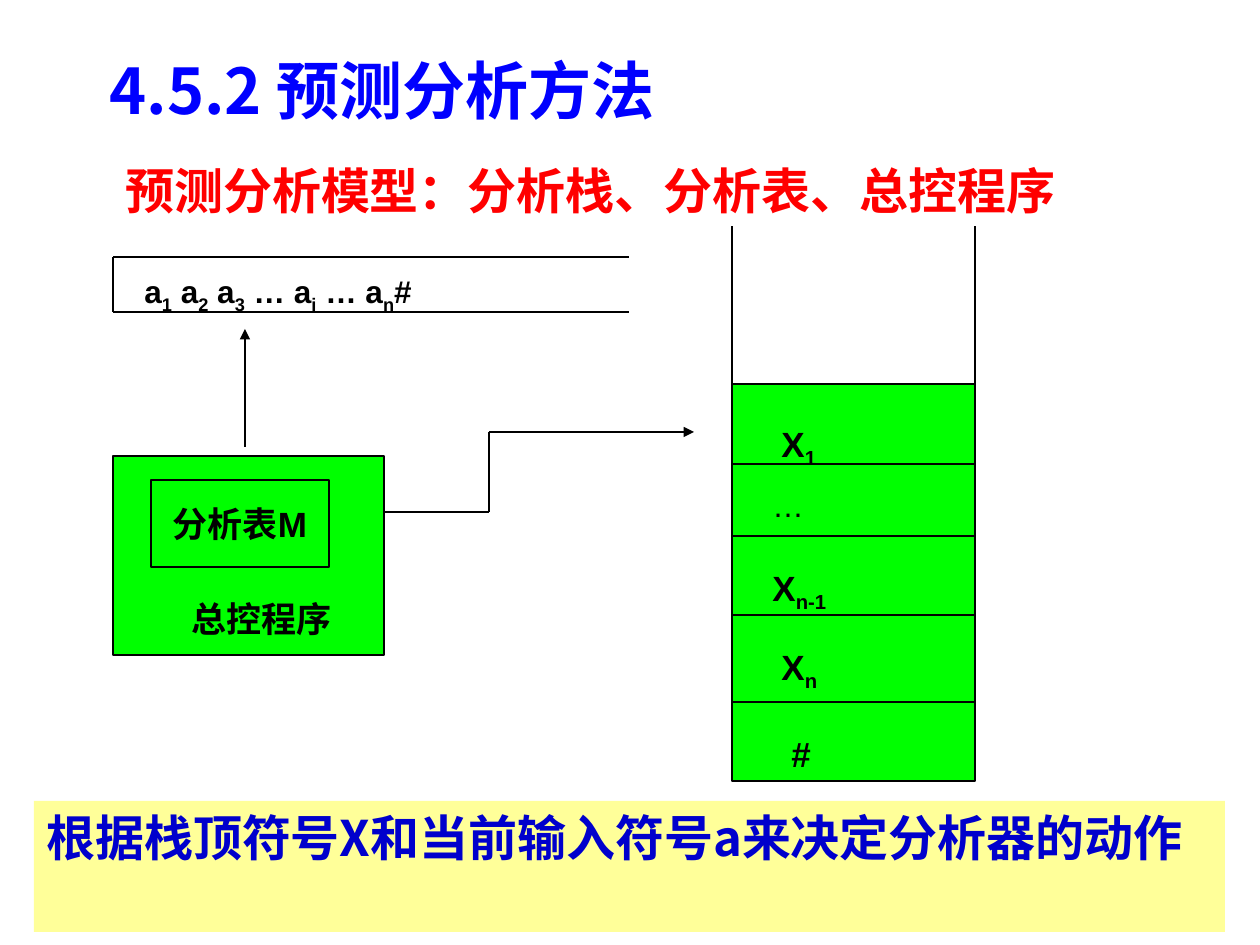
from dataclasses import dataclass
from itertools import pairwise

from lxml.etree import SubElement
from pptx import Presentation
from pptx.dml.color import RGBColor
from pptx.enum.shapes import MSO_CONNECTOR, MSO_SHAPE
from pptx.enum.text import MSO_ANCHOR, PP_ALIGN
from pptx.oxml.ns import qn
from pptx.util import Emu, Pt


@dataclass(frozen=True)
class Theme:
    title_blue: str = "0000FF"
    red: str = "FF0000"
    note_blue: str = "0000CC"
    note_fill: str = "FFFF99"
    green: str = "00FF00"
    black: str = "000000"
    cjk: str = "Noto Sans CJK SC"
    latin: str = "Arial"
    serif: str = "Times New Roman"
    title_size: int = 36
    heading_size: int = 28
    label_size: int = 20
    tape_size: int = 18
    line_width: float = 0.75
    subscript: str = "-25000"


THEME = Theme()

TITLE = ("4.5.2 预测分析方法", (25, 45, 714, 88))
HEADING = ("预测分析模型：分析栈、分析表、总控程序", (113, 154, 1121, 72))
NOTE = ("根据栈顶符号X和当前输入符号a来决定分析器的动作", (34, 801, 1191, 131))

TAPE = [("a", "1"), (" a", "2"), (" a", "3"), (" … a", "i"), (" … a", "n"), ("#", "")]
TAPE_LABEL = (132, 266, 402, 55)
TAPE_EDGES = [(629, 257), (113, 257), (113, 312), (629, 312)]

CONTROLLER = ("总控程序", (113, 456, 271, 199), (179, 591, 178, 55))
PARSE_TABLE = ("分析表M", (151, 480, 178, 87))

STACK_LEFT, STACK_RIGHT, STACK_OPEN_TOP = 732, 975, 226
STACK_ROWS = [
    (384, [("X", "1")], 37, 32),
    (464, "…", 28, 16),
    (536, [("X", "n-1")], 28, 24),
    (615, [("X", "n")], 37, 24),
    (702, "#", 47, 24),
]
STACK_BOTTOM = 781
STACK_LABEL_SIZE = (159, 60)

TAPE_ARROW = [(245, 447), (245, 329)]
STACK_ARROW = [(385, 512), (489, 512), (489, 432), (694, 432)]


def px(value):
    return Emu(round(value * 914400 / 126))


def place(box):
    return [px(value) for value in box]


def write(holder, content, *, size=THEME.label_size, color=THEME.black, font=THEME.latin,
          bold=True, align=PP_ALIGN.LEFT, anchor=MSO_ANCHOR.TOP, wrap=True):
    frame = holder.text_frame
    frame.word_wrap = wrap
    frame.vertical_anchor = anchor
    paragraph = frame.paragraphs[0]
    paragraph.alignment = align
    pairs = [(content, "")] if isinstance(content, str) else content
    for base, subscript in pairs:
        for text, lowered in ((base, False), (subscript, True)):
            if not text:
                continue
            run = paragraph.add_run()
            run.text = text
            run.font.name = font
            run.font.size = Pt(size)
            run.font.bold = bold
            run.font.color.rgb = RGBColor.from_string(color)
            properties = run.font._element
            SubElement(properties, qn("a:ea")).set("typeface", THEME.cjk)
            if lowered:
                properties.set("baseline", THEME.subscript)


def add_label(slide, content, box, **style):
    write(slide.shapes.add_textbox(*place(box)), content, **style)


def add_block(slide, box, fill, outlined=True):
    block = slide.shapes.add_shape(MSO_SHAPE.RECTANGLE, *place(box))
    block.shadow.inherit = False
    block.fill.solid()
    block.fill.fore_color.rgb = RGBColor.from_string(fill)
    if outlined:
        block.line.color.rgb = RGBColor.from_string(THEME.black)
        block.line.width = Pt(THEME.line_width)
    else:
        block.line.fill.background()
    return block


def add_route(slide, points, arrow=False):
    for start, end in pairwise(points):
        segment = slide.shapes.add_connector(MSO_CONNECTOR.STRAIGHT, *place(start + end))
        segment.line.color.rgb = RGBColor.from_string(THEME.black)
        segment.line.width = Pt(THEME.line_width)
        SubElement(segment._element.spPr, qn("a:effectLst"))
        if arrow and end == points[-1]:
            SubElement(segment.line._get_or_add_ln(), qn("a:tailEnd")).set("type", "triangle")


def draw_tape(slide):
    add_route(slide, TAPE_EDGES)
    add_label(slide, TAPE, TAPE_LABEL, size=THEME.tape_size)


def draw_controller(slide):
    name, box, label_box = CONTROLLER
    add_block(slide, box, THEME.green)
    table_name, table_box = PARSE_TABLE
    write(add_block(slide, table_box, THEME.green), table_name,
          align=PP_ALIGN.CENTER, anchor=MSO_ANCHOR.MIDDLE, wrap=False)
    add_label(slide, name, label_box)


def draw_stack(slide):
    top = STACK_ROWS[0][0]
    add_block(slide, (STACK_LEFT, top, STACK_RIGHT - STACK_LEFT, STACK_BOTTOM - top), THEME.green)
    for side in (STACK_LEFT, STACK_RIGHT):
        add_route(slide, [(side, top), (side, STACK_OPEN_TOP)])
    for row_top, symbol, indent, drop in STACK_ROWS:
        if row_top > top:
            add_route(slide, [(STACK_LEFT, row_top), (STACK_RIGHT, row_top)])
        ellipsis = symbol == "…"
        add_label(slide, symbol, (STACK_LEFT + indent, row_top + drop, *STACK_LABEL_SIZE),
                  size=THEME.tape_size if ellipsis else THEME.label_size, bold=not ellipsis)


def main():
    deck = Presentation()
    deck.slide_width, deck.slide_height = px(1260), px(945)
    slide = deck.slides.add_slide(deck.slide_layouts[6])

    title, title_box = TITLE
    add_label(slide, title, title_box, size=THEME.title_size, color=THEME.title_blue,
              font=THEME.cjk, align=PP_ALIGN.CENTER)
    draw_tape(slide)
    draw_controller(slide)
    draw_stack(slide)
    for route in (TAPE_ARROW, STACK_ARROW):
        add_route(slide, route, arrow=True)

    heading, heading_box = HEADING
    add_label(slide, heading, heading_box, size=THEME.heading_size, color=THEME.red,
              font=THEME.serif)
    note, note_box = NOTE
    write(add_block(slide, note_box, THEME.note_fill, outlined=False), note,
          size=THEME.heading_size, color=THEME.note_blue, font=THEME.cjk)
    deck.save("out.pptx")


if __name__ == "__main__":
    main()
